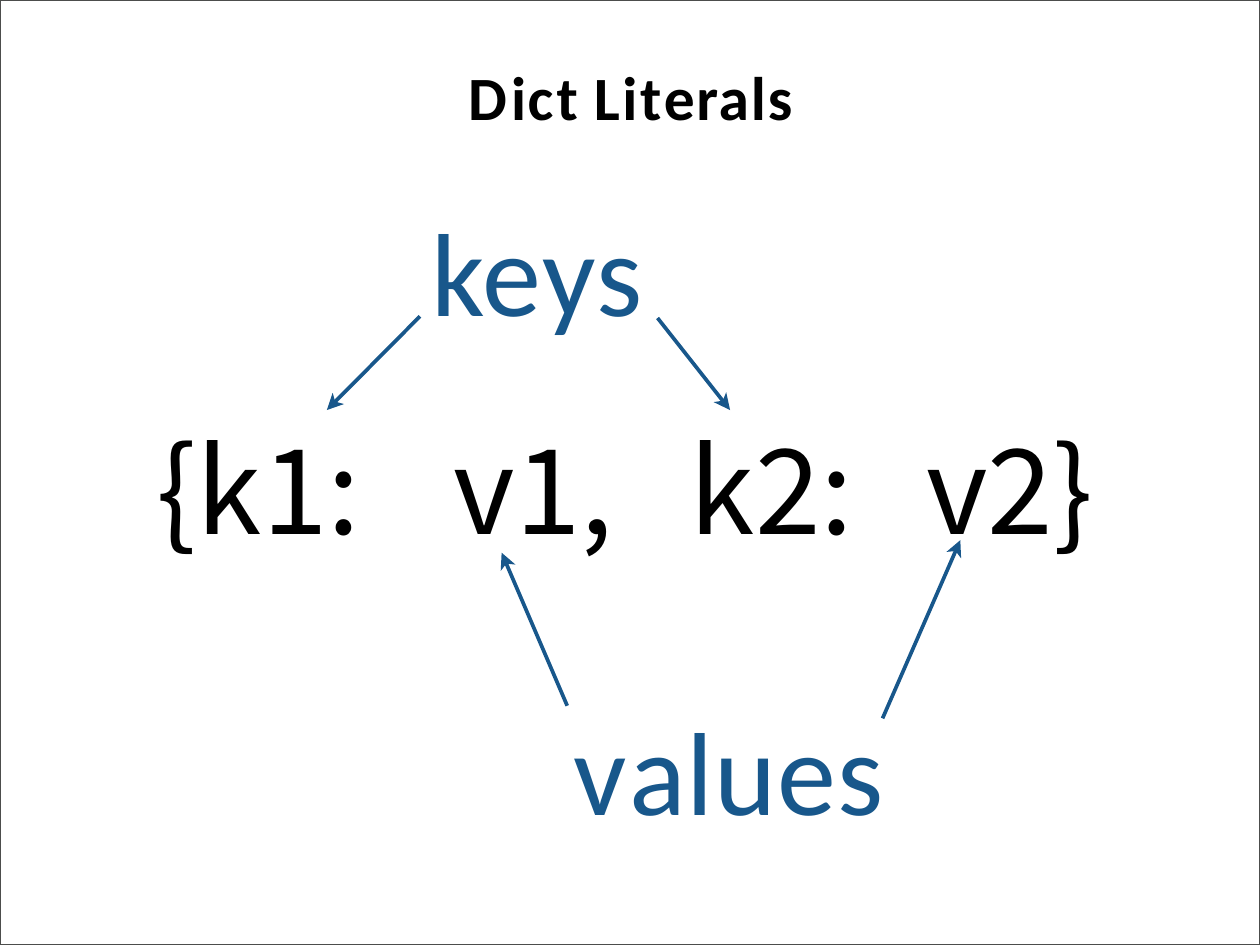
import math

import pptx
import pptx.dml.color
import pptx.enum.shapes
import pptx.enum.text
import pptx.oxml.ns
import pptx.util
from lxml import etree

Cm = pptx.util.Cm
Pt = pptx.util.Pt
qn = pptx.oxml.ns.qn

BLACK = pptx.dml.color.RGBColor(0x00, 0x00, 0x00)
BLUE = pptx.dml.color.RGBColor(0x18, 0x57, 0x8B)
GREY = pptx.dml.color.RGBColor(0x4C, 0x4D, 0x4C)

deck = pptx.Presentation()
deck.slide_width = Cm(36.12)
deck.slide_height = Cm(27.1)
slide = deck.slides.add_slide(deck.slide_layouts[6])


def add_text_frame(left, top, width, height):
    """Add a wrapping text box without insets and return its text frame."""
    frame = slide.shapes.add_textbox(Cm(left), Cm(top), Cm(width), Cm(height)).text_frame
    frame.word_wrap = True
    frame.margin_left = frame.margin_right = frame.margin_top = frame.margin_bottom = 0
    return frame


def add_runs(paragraph, pieces, font, size, color, bold=False):
    """Add a run for each piece of text with its letter spacing in points."""
    for text, tracking in pieces:
        run = paragraph.add_run()
        run.text = text
        run.font.name = font
        run.font.size = Pt(size)
        run.font.bold = bold
        run.font.color.rgb = color
        run.font._element.set("spc", str(round(tracking * 100)))


# The dict literal between its labels: pieces, font, colour, indent, space before
diagram = add_text_frame(4.47, 5.69, 27.15, 17.6)
lines = [
    ([("ke", 0.9), ("y", 0.2), ("s", 0.3)], "Calibri", BLUE, 7.9, 0),
    ([("{k1:\tv1,\tk2:\tv2}", 0)], "Noto Sans CJK JP", BLACK, 0.03, 61.8),
    ([("v", 2.2), ("alues", 0.8)], "Calibri", BLUE, 11.96, 113.4),
]
for index, (pieces, font, color, indent, space_before) in enumerate(lines):
    line = diagram.paragraphs[0] if index == 0 else diagram.add_paragraph()
    line.space_before = Pt(space_before)
    add_runs(line, pieces, font, 96, color)
    properties = line._p.get_or_add_pPr()
    properties.set("marL", str(Cm(indent)))
    if "\t" in pieces[0][0]:
        tab_list = etree.SubElement(properties, qn("a:tabLst"))
        for stop in range(3):
            etree.SubElement(tab_list, qn("a:tab"), pos=str(Cm(8.51 + 6.77 * stop)), algn="l")

title = add_text_frame(1.42, 1.7, 33.3, 1.83).paragraphs[0]
title.alignment = pptx.enum.text.PP_ALIGN.CENTER
title_pieces = [("D", 3.3), ("i", 1.1), ("c", 2.6), ("t ", 0.8), ("Li", 2.1),
                ("t", 2), ("e", 1.2), ("r", 0.3), ("als", 1.5)]
add_runs(title, title_pieces, "Calibri", 50, BLACK, bold=True)

# Arrows from each label to the parts it names: start x, y, tip x, y
arrows = [
    (12.04, 9.07, 9.37, 11.76),
    (18.85, 9.12, 20.93, 11.76),
    (16.26, 20.24, 14.38, 15.85),
    (25.3, 20.6, 27.53, 15.49),
]
# Arrowhead outline: distance behind the tip, distance to the side
head_outline = [(0, 0), (0.47, 0.23), (0.34, 0), (0.47, -0.23)]
for start_x, start_y, tip_x, tip_y in arrows:
    length = math.hypot(tip_x - start_x, tip_y - start_y)
    along_x, along_y = (tip_x - start_x) / length, (tip_y - start_y) / length

    shaft = slide.shapes.add_connector(
        pptx.enum.shapes.MSO_CONNECTOR.STRAIGHT, Cm(start_x), Cm(start_y),
        Cm(tip_x - 0.28 * along_x), Cm(tip_y - 0.28 * along_y))
    shaft.line.color.rgb = BLUE
    shaft.line.width = Pt(3)
    etree.SubElement(shaft._element.spPr, qn("a:effectLst"))

    corners = [(Cm(tip_x - back * along_x - side * along_y),
                Cm(tip_y - back * along_y + side * along_x))
               for back, side in head_outline]
    builder = slide.shapes.build_freeform(*corners[0])
    builder.add_line_segments(corners[1:], close=True)
    head = builder.convert_to_shape()
    head.shadow.inherit = False
    head.fill.solid()
    head.fill.fore_color.rgb = BLUE
    head.line.fill.background()

border = slide.shapes.add_shape(
    pptx.enum.shapes.MSO_SHAPE.RECTANGLE, 0, 0, deck.slide_width, deck.slide_height)
border.shadow.inherit = False
border.fill.background()
border.line.color.rgb = GREY
border.line.width = Pt(1)

deck.save("out.pptx")
